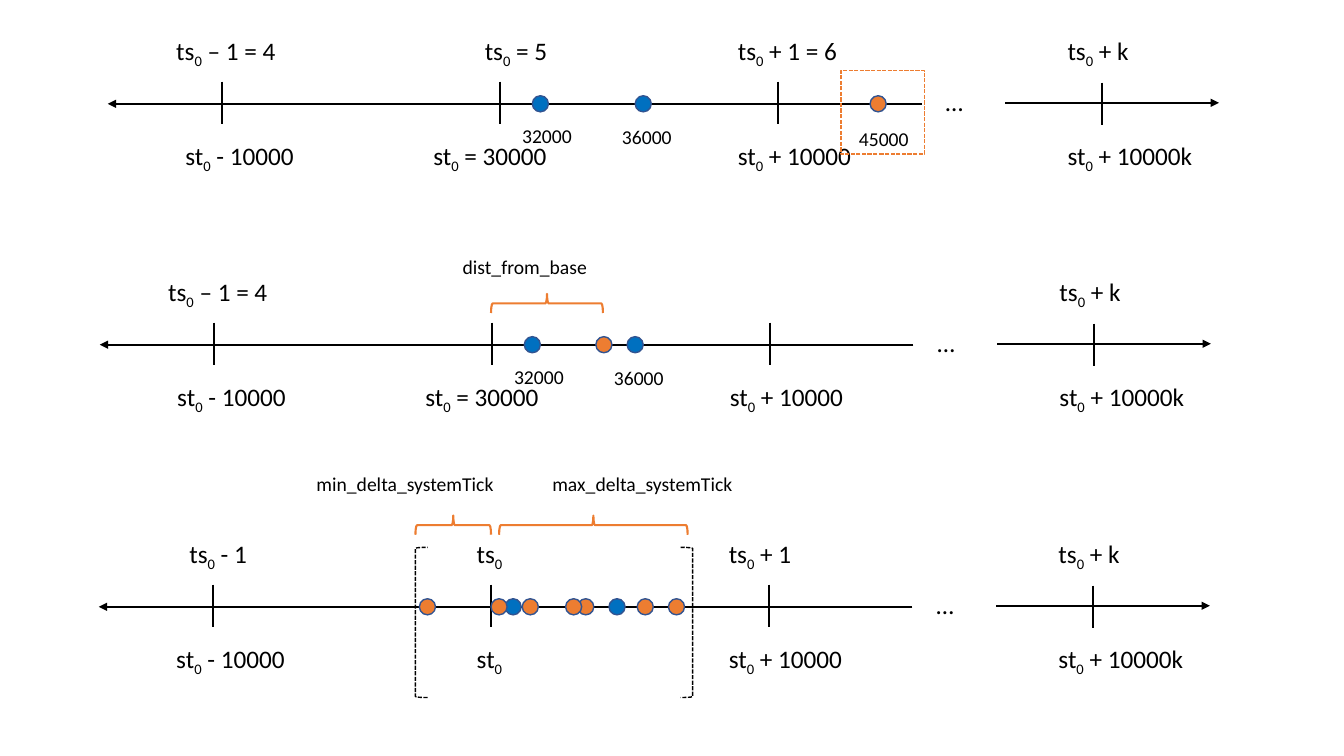
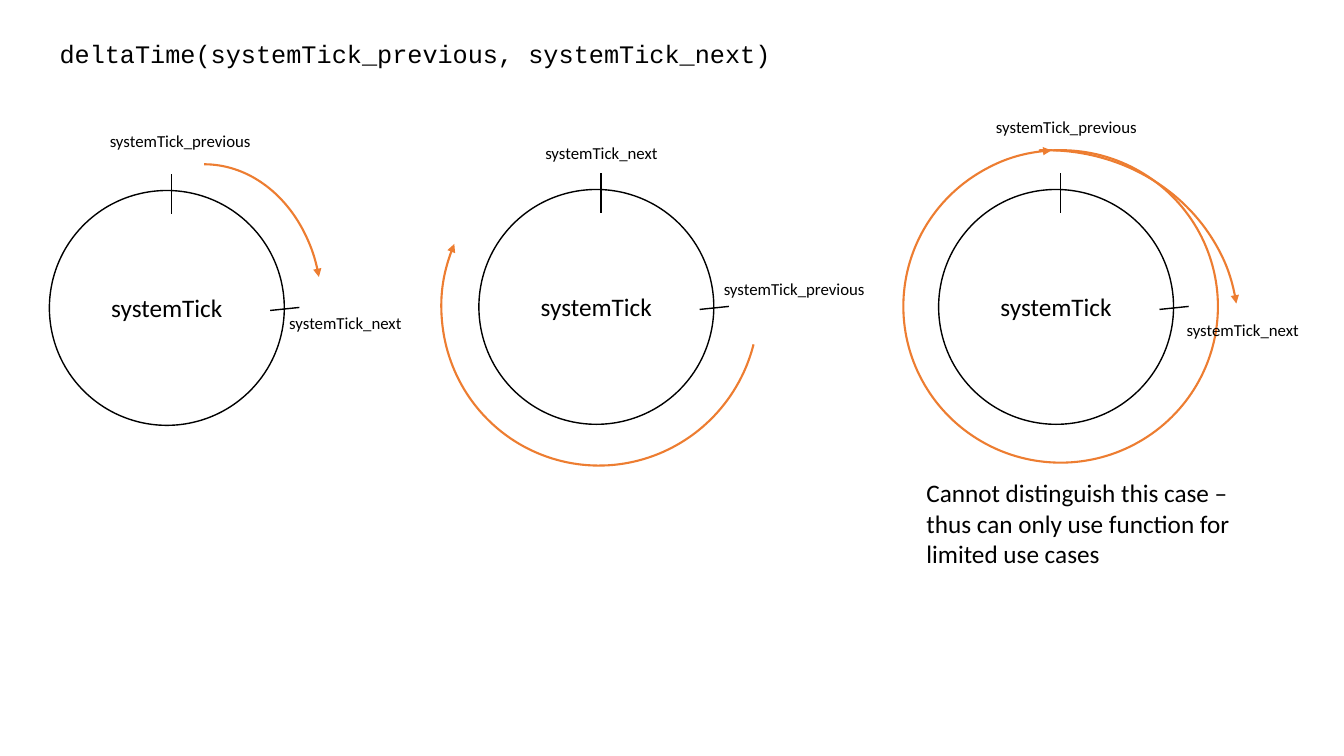
from pptx import Presentation
from pptx.dml.color import RGBColor
from pptx.enum.dml import MSO_LINE_DASH_STYLE as DASH
from pptx.enum.shapes import MSO_CONNECTOR, MSO_SHAPE
from pptx.enum.text import MSO_ANCHOR, MSO_AUTO_SIZE, PP_ALIGN
from pptx.oxml.ns import qn
from pptx.util import Inches, Pt
from lxml.etree import SubElement

BLACK, WHITE = "000000", "FFFFFF"
BLUE, ORANGE, RIM = "0070C0", "ED7D31", "325491"
BODY, CODE = "Calibri", "Courier New"
DOT = 0.16
BRACE = 0.19
CIRCLE = 2.33


def rgb(value):
    """Turn a hex string into a colour."""
    return RGBColor.from_string(value)


def style_line(sp, color, width, dash=None, arrow=False):
    """Set colour, width, dash and end arrow of an outline."""
    sp.line.color.rgb = rgb(color)
    sp.line.width = Pt(width)
    if dash:
        sp.line.dash_style = dash
    if arrow:
        SubElement(sp.line._get_or_add_ln(), qn("a:tailEnd"), type="triangle")


def style_runs(p, size=18, font=BODY):
    """Give all runs of a paragraph the same black font."""
    for r in p.runs:
        r.font.size, r.font.name = Pt(size), font
        r.font.color.rgb = rgb(BLACK)


def add_line(s, x1, y1, x2, y2, width=1.5, arrow=False):
    """Draw a black straight line, with an arrowhead at its end if asked."""
    sp = s.shapes.add_connector(MSO_CONNECTOR.STRAIGHT, Inches(x1), Inches(y1),
                                Inches(x2), Inches(y2))
    style_line(sp, BLACK, width, arrow=arrow)
    SubElement(sp._element.spPr, qn("a:effectLst"))


def add_shape(s, kind, x, y, w, h, line, width=1, fill=None, dash=None,
              arrow=False):
    """Draw an outlined preset shape and return it."""
    sp = s.shapes.add_shape(kind, Inches(x), Inches(y), Inches(w), Inches(h))
    sp.shadow.inherit = False
    if fill:
        sp.fill.solid()
        sp.fill.fore_color.rgb = rgb(fill)
    else:
        sp.fill.background()
    style_line(sp, line, width, dash, arrow)
    return sp


def add_text(s, x, y, w, text, size=18):
    """Add a wrapping text box and return its paragraph."""
    h = 0.1 + size / 60
    tf = s.shapes.add_textbox(Inches(x), Inches(y), Inches(w), Inches(h)).text_frame
    tf.word_wrap = True
    p = tf.paragraphs[0]
    p.text = text
    style_runs(p, size)
    return p


def add_indexed(s, x, y, w, stem, rest):
    """Add a label made of a stem, a subscript zero and the rest."""
    p = add_text(s, x, y, w, stem)
    sub = p.add_run()
    sub.text = "0"
    sub.font._element.set("baseline", "-25000")
    if rest:
        p.add_run().text = rest
    style_runs(p)


def add_brace(s, left, right, cy):
    """Draw a horizontal brace that opens downwards."""
    span = right - left
    sp = add_shape(s, MSO_SHAPE.LEFT_BRACE, (left + right - BRACE) / 2,
                   cy - span / 2, BRACE, span, ORANGE, 1.5)
    sp.rotation = 90


def timeline(s, x, y, upper, lower, blue, orange, values=()):
    """Draw one time axis starting at x, y; all offsets run from there."""
    for dx, drop in ((1.13, 0), (3.89, 0), (6.65, 0), (9.86, 0.01)):
        add_line(s, x + dx, y - 0.22 + drop, x + dx, y + 0.2 + drop)
    add_line(s, x + 8.07, y, x, y, arrow=True)
    add_line(s, x + 8.9, y - 0.01, x + 11.02, y - 0.01, arrow=True)
    add_text(s, x + 8.21, y - 0.22, 0.57, "…")
    for stem, dy, labels in (("ts", -0.73, upper), ("st", 0.31, lower)):
        for dx, rest in labels:
            add_indexed(s, x + dx, y + dy, 1.64, stem, rest)
    for color, centres in ((BLUE, blue), (ORANGE, orange)):
        for dx in centres:
            add_shape(s, MSO_SHAPE.OVAL, x + dx - DOT / 2, y - DOT / 2, DOT, DOT,
                      RIM, fill=color)
    for dx, dy, value in values:
        add_text(s, x + dx, y + dy, 0.75, value, 14)


def clock(s, x, y, top, side, arcs):
    """Draw a tick circle at x, y with two marks, two labels and arc arrows."""
    sp = add_shape(s, MSO_SHAPE.OVAL, x, y, CIRCLE, CIRCLE, BLACK, fill=WHITE)
    tf = sp.text_frame
    tf.text = "systemTick"
    tf.vertical_anchor = MSO_ANCHOR.MIDDLE
    tf.paragraphs[0].alignment = PP_ALIGN.CENTER
    style_runs(tf.paragraphs[0])
    for dx, dy, w, h, start, end, turn in arcs:
        arc = add_shape(s, MSO_SHAPE.ARC, x + dx, y + dy, w, h, ORANGE, 1.5,
                        arrow=True)
        # arc angles are stored in 60000ths of a degree, adjustments in 100000ths
        arc.adjustments[0], arc.adjustments[1] = start * 0.6, end * 0.6
        arc.rotation = turn
    add_line(s, x + 1.21, y - 0.16, x + 1.21, y + 0.23, 1)
    add_line(s, x + 2.48, y + 1.16, x + 2.19, y + 1.19, 1)
    for dx, dy, w, text in (top, side):
        add_text(s, x + dx, y + dy, w, text, 12)


def timelines_slide(prs):
    """Build the slide with three time axes."""
    s = prs.slides.add_slide(prs.slide_layouts[6])
    before, last = (0.67, " - 10000"), (9.42, " + 10000k")
    after, k = (6.15, " + 10000"), (9.42, " + k")
    lower = [before, (3.13, " = 30000"), after, last]
    values = [(4.01, 0.15, "32000"), (5, 0.16, "36000")]

    timeline(s, 1.07, 1.03,
             [(0.58, " – 1 = 4"), (3.64, " = 5"), (6.15, " + 1 = 6"), k], lower,
             [4.29, 5.31], [7.64], values + [(7.35, 0.18, "45000")])
    add_shape(s, MSO_SHAPE.RECTANGLE, 8.34, 0.7, 0.83, 0.83, ORANGE,
              dash=DASH.SQUARE_DOT)

    timeline(s, 0.99, 3.42, [(0.58, " – 1 = 4"), k], lower,
             [4.29, 5.31], [5], values)
    add_brace(s, 4.87, 5.98, 3.01)
    add_text(s, 4.49, 2.48, 2.09, "dist_from_base", 14)

    timeline(s, 0.98, 6.02, [(0.8, " - 1"), (3.65, ""), (6.15, " + 1"), k],
             [before, (3.65, ""), after, last], [4.11, 5.14],
             [4.83, 3.26, 4.28, 3.97, 4.71, 5.73, 5.42])
    for kind, left in ((MSO_SHAPE.LEFT_BRACKET, 4.12),
                       (MSO_SHAPE.RIGHT_BRACKET, 6.75)):
        add_shape(s, kind, left, 5.43, 0.12, 1.49, BLACK, dash=DASH.SQUARE_DOT)
    add_brace(s, 4.12, 4.87, 5.21)
    add_brace(s, 4.95, 6.82, 5.21)
    add_text(s, 3.04, 4.63, 2.09, "min_delta_systemTick", 14)
    add_text(s, 5.38, 4.63, 2.64, "max_delta_systemTick", 14)


def set_title(s, text):
    """Place and format the title placeholder as a line of code."""
    sp = s.shapes.title
    sp.left, sp.top, sp.width, sp.height = map(Inches, (0.49, 0.33, 7.29, 0.4))
    tf = sp.text_frame
    tf.text = text
    tf.auto_size, tf.word_wrap = MSO_AUTO_SIZE.NONE, False
    tf.vertical_anchor = MSO_ANCHOR.TOP
    tf.paragraphs[0].alignment = PP_ALIGN.LEFT
    style_runs(tf.paragraphs[0], font=CODE)


def clocks_slide(prs):
    """Build the slide with three tick circles."""
    s = prs.slides.add_slide(prs.slide_layouts[5])
    set_title(s, "deltaTime(systemTick_previous, systemTick_next)")
    previous, following = "systemTick_previous", "systemTick_next"
    clock(s, 0.49, 1.89, (0.5, -0.64, 2.19, previous),
          (2.28, 1.16, 1.51, following),
          [(0.37, -0.26, 2.33, 2.83, 270, 345.4, 0)])
    clock(s, 4.75, 1.88, (0.56, -0.51, 1.36, following),
          (2.33, 0.84, 2.19, previous),
          [(-0.37, -0.43, 3.14, 3.17, 170.93, 0, 203.1)])
    clock(s, 9.31, 1.88, (0.47, -0.77, 2.19, previous),
          (2.36, 1.24, 1.47, following),
          [(-0.35, -0.39, 3.12, 3.1, 267.25, 266.59, 0),
           (-0.83, -0.39, 3.8, 3.52, 267.56, 352.76, 0)])
    add_text(s, 9.09, 4.69, 3.4, "Cannot distinguish this case – thus can only "
             "use function for limited use cases")


prs = Presentation()
prs.slide_width, prs.slide_height = Inches(13.33), Inches(7.5)
timelines_slide(prs)
clocks_slide(prs)
prs.save("out.pptx")
